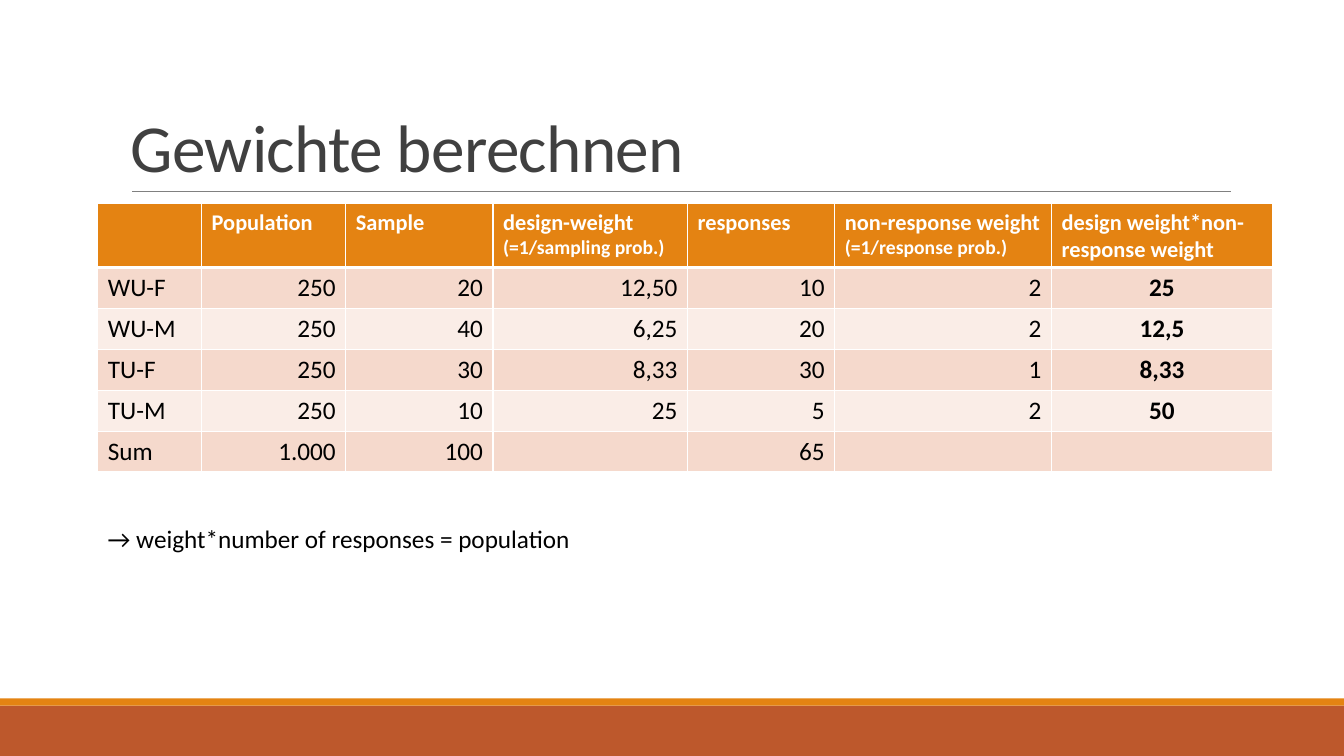
from lxml import etree
from pptx import Presentation
from pptx.dml.color import RGBColor
from pptx.enum.shapes import MSO_CONNECTOR, MSO_SHAPE
from pptx.enum.text import MSO_ANCHOR, PP_ALIGN
from pptx.oxml.ns import qn
from pptx.util import Inches, Pt

LEFT, CENTER, RIGHT = PP_ALIGN.LEFT, PP_ALIGN.CENTER, PP_ALIGN.RIGHT
BOTTOM = MSO_ANCHOR.BOTTOM
RECT, STRAIGHT = MSO_SHAPE.RECTANGLE, MSO_CONNECTOR.STRAIGHT

# Content
TITLE = "Gewichte berechnen"
NOTE = "→ weight*number of responses = population"
# Header cells are lists of (text, size); "\n" ends a line
HEADER = [
    [],
    [("Population", 16)],
    [("Sample", 16)],
    [("design-weight ", 16), ("(=1/sampling prob.)", 14)],
    [("responses", 16)],
    [("non-response weight\n", 16), ("(=1/response prob.)", 14)],
    [("design weight*non-response weight", 16)],
]
ROWS = [
    ("WU-F", "250", "20", "12,50", "10", "2", "25"),
    ("WU-M", "250", "40", "6,25", "20", "2", "12,5"),
    ("TU-F", "250", "30", "8,33", "30", "1", "8,33"),
    ("TU-M", "250", "10", "25", "5", "2", "50"),
    ("Sum", "1.000", "100", "", "65", "", ""),
]
COLORS = {
    "title": "404040", "text": "000000", "white": "FFFFFF", "rule": "808080",
    "orange": "E48312", "rust": "BD582C", "band1": "F5D9CC", "band2": "FAEDE7",
}
FONT = "Calibri"

# Layout
WIDTH, HEIGHT = 13.33, 7.5
COL_WIDTHS = [1.03, 1.43, 1.46, 1.93, 1.46, 2.15, 2.19]
TABLE_LEFT, TABLE_TOP, TABLE_HEIGHT, HEADER_HEIGHT = 0.97, 2.02, 2.66, 0.63
ROW_HEIGHT = (TABLE_HEIGHT - HEADER_HEIGHT) / len(ROWS)
FOOTER = [(7, 0.5, "rust"), (6.93, 0.07, "orange")]


def rgb(name):
    return RGBColor.from_string(COLORS[name])


def add_text(p, text, size=18, color="text", bold=False, align=LEFT, spacing=None):
    p.alignment = align
    r = p.add_run()
    r.text = text.rstrip("\n")
    r.font.name, r.font.size, r.font.bold = FONT, Pt(size), bold
    r.font.color.rgb = rgb(color)
    if spacing is not None:
        r.font._element.set("spc", str(spacing))
    if text.endswith("\n"):
        p.add_line_break()


def add_box(s, x, y, w, h):
    tf = s.shapes.add_textbox(Inches(x), Inches(y), Inches(w), Inches(h)).text_frame
    tf.word_wrap = True
    return tf


def style_cell(cell, fill, bottom=1):
    cell.fill.solid()
    cell.fill.fore_color.rgb = rgb(fill)
    tc_pr = cell._tc.get_or_add_tcPr()
    # Borders stand before the fill in the cell properties
    for i, (side, width) in enumerate((("L", 1), ("R", 1), ("T", 1), ("B", bottom))):
        ln = etree.Element(qn(f"a:ln{side}"), w=str(Pt(width)))
        solid = etree.SubElement(ln, qn("a:solidFill"))
        etree.SubElement(solid, qn("a:srgbClr"), val=COLORS["white"])
        tc_pr.insert(i, ln)


def add_weights_table(s):
    table = s.shapes.add_table(
        len(ROWS) + 1, len(COL_WIDTHS), Inches(TABLE_LEFT), Inches(TABLE_TOP),
        Inches(sum(COL_WIDTHS)), Inches(TABLE_HEIGHT)).table
    for col, width in zip(table.columns, COL_WIDTHS):
        col.width = Inches(width)
    for i, row in enumerate(table.rows):
        row.height = Inches(ROW_HEIGHT if i else HEADER_HEIGHT)

    for c, runs in enumerate(HEADER):
        cell = table.cell(0, c)
        style_cell(cell, "orange", bottom=3)
        for text, size in runs:
            add_text(cell.text_frame.paragraphs[0], text, size=size,
                     color="white", bold=True)

    last = len(COL_WIDTHS) - 1
    for i, values in enumerate(ROWS, 1):
        for c, value in enumerate(values):
            cell = table.cell(i, c)
            style_cell(cell, "band1" if i % 2 else "band2", bottom=1)
            if value:
                align = LEFT if c == 0 else CENTER if c == last else RIGHT
                add_text(cell.text_frame.paragraphs[0], value, align=align,
                         bold=c == last)


def main():
    prs = Presentation()
    prs.slide_width, prs.slide_height = Inches(WIDTH), Inches(HEIGHT)
    s = prs.slides.add_slide(prs.slide_layouts[6])

    # Footer bands
    for y, h, color in FOOTER:
        sp = s.shapes.add_shape(RECT, 0, Inches(y), Inches(WIDTH), Inches(h))
        sp.shadow.inherit = False
        sp.fill.solid()
        sp.fill.fore_color.rgb = rgb(color)
        sp.line.fill.background()

    # Rule under the title
    rule = s.shapes.add_connector(
        STRAIGHT, Inches(1.31), Inches(1.9), Inches(12.21), Inches(1.9))
    rule.line.color.rgb = rgb("rule")
    rule.line.width = Pt(0.5)
    etree.SubElement(rule._element.spPr, qn("a:effectLst"))

    # Title
    tf = add_box(s, 1.2, 0.31, 11, 1.59)
    tf.vertical_anchor = BOTTOM
    p = tf.paragraphs[0]
    p.line_spacing = 0.85
    add_text(p, TITLE, size=48, color="title", spacing=-50)

    # Table and note
    add_weights_table(s)
    add_text(add_box(s, TABLE_LEFT, 5.14, 6.19, 0.4).paragraphs[0], NOTE)

    prs.save("out.pptx")


if __name__ == "__main__":
    main()
